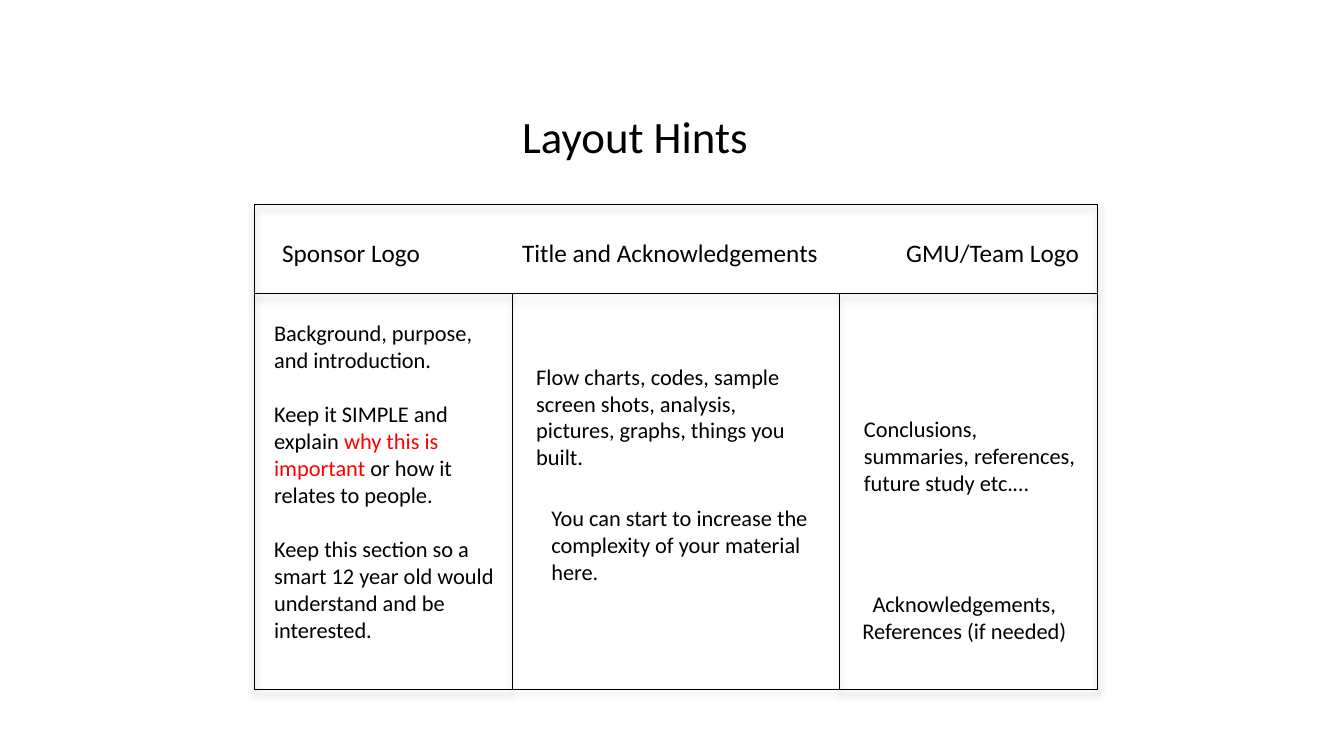
from lxml import etree
from pptx import Presentation
from pptx.dml.color import RGBColor
from pptx.enum.shapes import MSO_SHAPE
from pptx.enum.text import MSO_ANCHOR, PP_ALIGN
from pptx.oxml.ns import qn
from pptx.util import Pt

PX = 9144  # 100 px to the inch
RECT = MSO_SHAPE.RECTANGLE
TOP, MIDDLE = MSO_ANCHOR.TOP, MSO_ANCHOR.MIDDLE
LEFT, CENTER = PP_ALIGN.LEFT, PP_ALIGN.CENTER
FONT = "Calibri"
BLACK, RED, GRAY = "000000", "FF0000", "808080"

POSTER_X, POSTER_Y, POSTER_W, POSTER_H = 252, 203, 837, 481
HEADER_H, SIDE_W = 88, 256


def px(*values):
    return [v * PX for v in values]


def color(value):
    return RGBColor.from_string(value)


def add_shadow(sp):
    effects = sp._element.spPr.find(qn("a:effectLst"))
    shadow = etree.SubElement(effects, qn("a:outerShdw"), blurRad=str(Pt(5.2)),
                              dist=str(Pt(3)), dir="5400000", rotWithShape="0")
    clr = etree.SubElement(shadow, qn("a:srgbClr"), val=GRAY)
    etree.SubElement(clr, qn("a:alpha"), val="40000")


def add_panel(s, x, y, w, h):
    sp = s.shapes.add_shape(RECT, *px(x, y, w, h))
    sp.fill.background()
    sp.line.color.rgb = color(BLACK)
    sp.line.width = Pt(0.75)
    sp.shadow.inherit = False
    add_shadow(sp)


def add_text(s, x, y, w, h, *paragraphs, size=16, wrap=True, align=LEFT,
             anchor=TOP, line_spacing=None, gap=19.5):
    """Each paragraph is a string or a list of (text, colour) runs."""
    tf = s.shapes.add_textbox(*px(x, y, w, h)).text_frame
    tf.word_wrap = wrap
    tf.vertical_anchor = anchor
    for i, runs in enumerate(paragraphs):
        p = tf.add_paragraph() if i else tf.paragraphs[0]
        p.alignment = align
        if line_spacing:
            p.line_spacing = line_spacing
        if i:
            p.space_before = Pt(gap)
        if isinstance(runs, str):
            runs = [(runs, BLACK)]
        for text, text_color in runs:
            r = p.add_run()
            r.text = text
            r.font.name = FONT
            r.font.size = Pt(size)
            r.font.color.rgb = color(text_color)


def add_poster_frame(s):
    body_y, body_h = POSTER_Y + HEADER_H, POSTER_H - HEADER_H
    add_panel(s, POSTER_X, POSTER_Y, POSTER_W, POSTER_H)
    add_panel(s, POSTER_X, POSTER_Y, POSTER_W, HEADER_H)
    for x in (POSTER_X, POSTER_X + POSTER_W - SIDE_W):
        add_panel(s, x, body_y, SIDE_W, body_h)


def main():
    prs = Presentation()
    prs.slide_width, prs.slide_height = px(1333, 750)
    s = prs.slides.add_slide(prs.slide_layouts[6])

    add_text(s, 508, 108, 275, 60, "Layout Hints", size=32, anchor=MIDDLE,
             line_spacing=0.9)
    add_poster_frame(s)

    for x, w, label in ((270, 159, "Sponsor Logo"),
                        (508, 318, "Title and Acknowledgements"),
                        (889, 196, "GMU/Team Logo")):
        add_text(s, x, 231, w, 40, label, size=18, wrap=False)

    add_text(s, 262, 312, 241, 333,
             "Background, purpose, and introduction.",
             [("Keep it SIMPLE and explain ", BLACK),
              ("why this is important ", RED),
              ("or how it relates to people.", BLACK)],
             "Keep this section so a smart 12 year old would understand "
             "and be interested.")
    add_text(s, 522, 355, 289, 118,
             "Flow charts, codes, sample screen shots, analysis, pictures, "
             "graphs, things you built.")
    add_text(s, 537, 495, 274, 91,
             "You can start to increase the complexity of your material here.")
    add_text(s, 847, 407, 231, 91,
             "Conclusions, summaries, references, future study etc.…")
    add_text(s, 836, 581, 241, 64,
             "Acknowledgements, References (if needed)", align=CENTER)

    prs.save("out.pptx")


if __name__ == "__main__":
    main()
